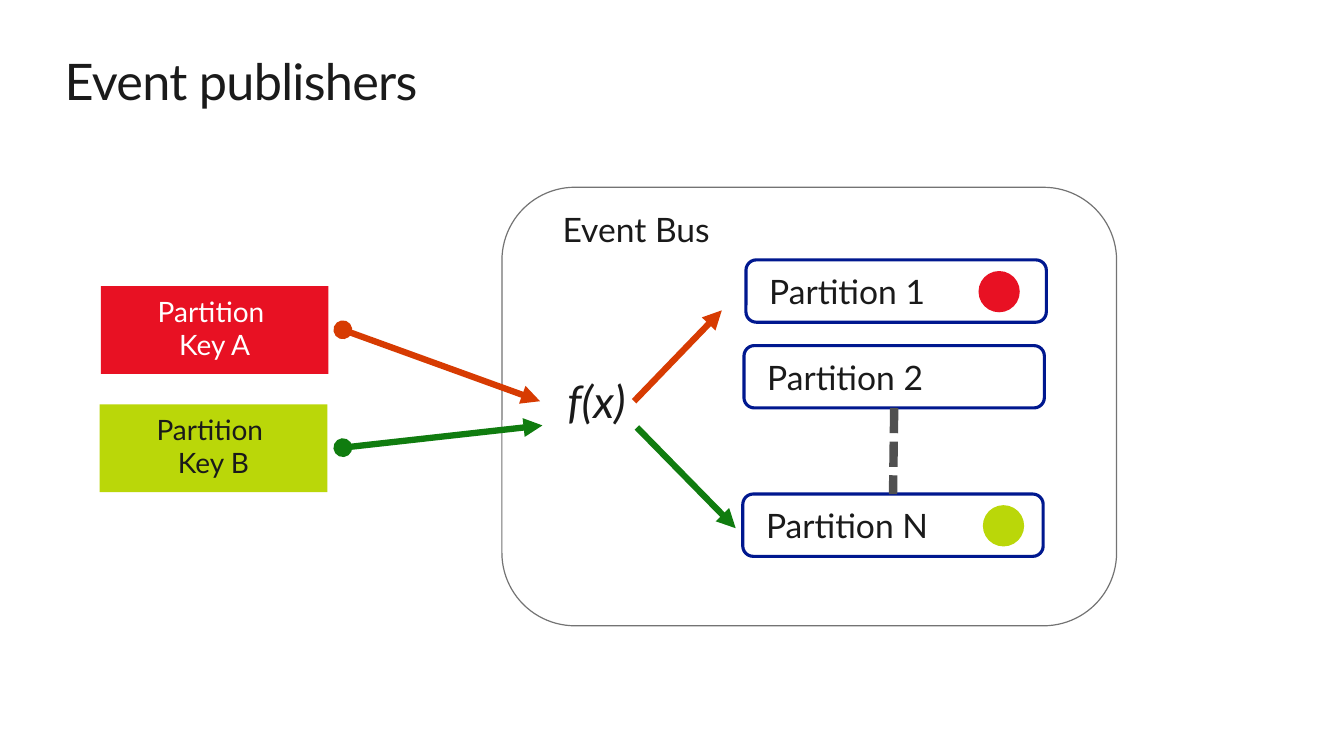
"""Build the event publishers slide showing how partition keys map to partitions."""
from dataclasses import dataclass

from lxml.etree import SubElement
from pptx import Presentation
from pptx.dml.color import RGBColor
from pptx.enum.dml import MSO_LINE
from pptx.enum.shapes import MSO_CONNECTOR, MSO_SHAPE
from pptx.enum.text import MSO_ANCHOR, PP_ALIGN
from pptx.oxml.ns import qn
from pptx.shapes.autoshape import Shape
from pptx.shapes.connector import Connector
from pptx.shapes.shapetree import SlideShapes
from pptx.util import Cm, Pt

FONT = "Lato"
INK, WHITE, RED, LIME = "1A1A1A", "FFFFFF", "E81123", "BAD709"
ORANGE, GREEN, NAVY, GRAY, DASH_GRAY = "D73B02", "107C0F", "00188F", "737373", "505050"
NO_INSETS = (0, 0, 0, 0)
BOX_INSETS = (0.51, 0.2, 0.51, 0.2)


@dataclass
class Label:
    text: str
    size: float
    color: str = INK
    align: PP_ALIGN = PP_ALIGN.LEFT
    anchor: MSO_ANCHOR = MSO_ANCHOR.TOP
    insets: tuple[float, float, float, float] = BOX_INSETS
    italic: bool = False


@dataclass
class Key:
    text: str
    left: float
    top: float
    fill: str
    color: str


@dataclass
class Partition:
    text: str
    left: float
    top: float


@dataclass
class Marker:
    left: float
    top: float
    color: str


@dataclass
class Arrow:
    start: tuple[float, float]
    end: tuple[float, float]
    color: str
    has_dot: bool


KEYS = [
    Key("Partition \nKey A", 2.54, 7.21, RED, WHITE),
    Key("Partition \nKey B", 2.51, 10.19, LIME, INK),
]
PARTITIONS = [
    Partition("Partition 1", 18.8, 6.55),
    Partition("Partition 2", 18.75, 8.71),
    Partition("Partition N", 18.72, 12.45),
]
MARKERS = [Marker(24.66, 6.83, RED), Marker(24.77, 12.73, LIME)]
ARROWS = [
    Arrow((15.98, 10.11), (18.19, 7.82), ORANGE, False),
    Arrow((16.05, 10.77), (18.54, 13.31), GREEN, False),
    Arrow((8.64, 8.31), (13.61, 10.11), ORANGE, True),
    Arrow((8.64, 11.28), (13.67, 10.72), GREEN, True),
]


def rgb(color: str) -> RGBColor:
    """Turn a hex string into a colour."""
    return RGBColor.from_string(color)


def write_label(shape: Shape, label: Label) -> None:
    """Write and format the text of a shape."""
    frame = shape.text_frame
    frame.word_wrap = True
    frame.vertical_anchor = label.anchor
    frame.margin_left, frame.margin_top, frame.margin_right, frame.margin_bottom = map(Cm, label.insets)
    frame.text = label.text
    for paragraph in frame.paragraphs:
        paragraph.alignment = label.align
        for run in paragraph.runs:
            run.font.name = FONT
            run.font.size = Pt(label.size)
            run.font.italic = label.italic
            run.font.color.rgb = rgb(label.color)


def add_text(shapes: SlideShapes, left: float, top: float, width: float, height: float, label: Label) -> Shape:
    """Add a text box with a label."""
    box = shapes.add_textbox(Cm(left), Cm(top), Cm(width), Cm(height))
    write_label(box, label)
    return box


def add_figure(shapes: SlideShapes, kind: MSO_SHAPE, left: float, top: float, width: float, height: float,
               fill: str, line: str | None = None, line_width: float = 0, label: Label | None = None) -> Shape:
    """Add a filled preset shape with an optional outline and label."""
    shape = shapes.add_shape(kind, Cm(left), Cm(top), Cm(width), Cm(height))
    shape.shadow.inherit = False
    shape.fill.solid()
    shape.fill.fore_color.rgb = rgb(fill)
    if line:
        shape.line.color.rgb = rgb(line)
        shape.line.width = Pt(line_width)
    else:
        shape.line.fill.background()
    if label:
        write_label(shape, label)
    return shape


def add_line(shapes: SlideShapes, start: tuple[float, float], end: tuple[float, float],
             color: str, width: float) -> Connector:
    """Add a straight connector without a shadow."""
    connector = shapes.add_connector(MSO_CONNECTOR.STRAIGHT, *map(Cm, start + end))
    connector.line.color.rgb = rgb(color)
    connector.line.width = Pt(width)
    SubElement(connector._element.spPr, qn("a:effectLst"))
    return connector


def add_arrow(shapes: SlideShapes, arrow: Arrow) -> None:
    """Add an arrow, with a dot at its start if wanted."""
    outline = add_line(shapes, arrow.start, arrow.end, arrow.color, 4.5).line._get_or_add_ln()
    if arrow.has_dot:
        SubElement(outline, qn("a:headEnd"), type="oval")
    SubElement(outline, qn("a:tailEnd"), type="triangle")


def main() -> None:
    """Build and save the presentation."""
    presentation = Presentation()
    presentation.slide_width, presentation.slide_height = Cm(33.87), Cm(19.05)
    shapes = presentation.slides.add_slide(presentation.slide_layouts[6]).shapes

    title = add_text(shapes, 1.63, 1.27, 30.61, 1.55, Label("Event publishers", 36, insets=NO_INSETS))
    title.text_frame.paragraphs[0].runs[0].font._element.set("spc", "-50")

    for key in KEYS:
        add_figure(shapes, MSO_SHAPE.RECTANGLE, key.left, key.top, 5.74, 2.21, key.fill,
                   label=Label(key.text, 20, key.color, PP_ALIGN.CENTER))

    add_figure(shapes, MSO_SHAPE.ROUNDED_RECTANGLE, 12.65, 4.72, 15.49, 11.05, WHITE, GRAY, 0.85,
               Label("Event Bus", 24, insets=(0.99, 0, 0.51, 0.1)))
    add_text(shapes, 14.12, 9.42, 1.83, 1.37,
             Label("f(x)", 32, align=PP_ALIGN.CENTER, insets=NO_INSETS, italic=True))

    boxes = [
        add_figure(shapes, MSO_SHAPE.ROUNDED_RECTANGLE, partition.left, partition.top, 7.57, 1.57,
                   WHITE, NAVY, 2.25, Label(partition.text, 24, anchor=MSO_ANCHOR.MIDDLE))
        for partition in PARTITIONS
    ]
    gap = add_line(shapes, (22.53, 10.28), (22.5, 12.45), DASH_GRAY, 6)
    gap.line.dash_style = MSO_LINE.SQUARE_DOT
    gap.begin_connect(boxes[1], 2)
    gap.end_connect(boxes[2], 0)

    for marker in MARKERS:
        add_figure(shapes, MSO_SHAPE.OVAL, marker.left, marker.top, 1.04, 1.04, marker.color)
    for arrow in ARROWS:
        add_arrow(shapes, arrow)

    presentation.save("out.pptx")


if __name__ == "__main__":
    main()
